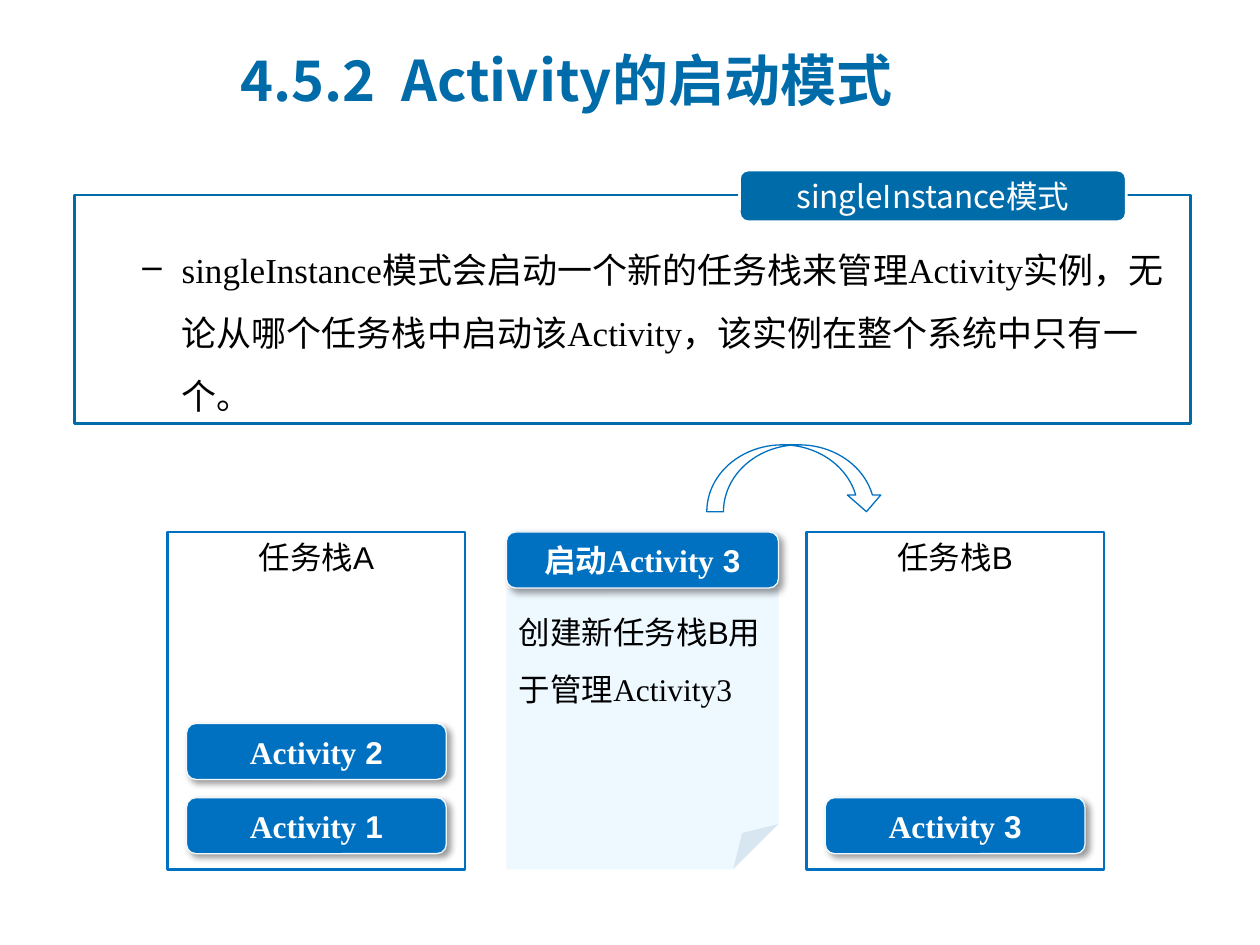
from lxml import etree
from pptx import Presentation
from pptx.dml.color import RGBColor
from pptx.enum.shapes import MSO_SHAPE as Shape
from pptx.enum.text import MSO_ANCHOR as Anchor, PP_ALIGN as Align
from pptx.oxml import parse_xml
from pptx.oxml.ns import nsdecls, qn
from pptx.util import Pt

HEADING = "Noto Sans CJK SC"
SANS = "Arial"
SERIF = "Times New Roman"
DEEP_BLUE = "006BA9"
BLUE = "0070C0"
WHITE = "FFFFFF"
BLACK = "000000"


def rgb(hex_color):
    return RGBColor.from_string(hex_color)


class SlideBuilder:
    def __init__(self, slide):
        self.slide = slide

    def shape(self, kind, box, fill=None, line=None, line_width=1.5):
        shape = self.slide.shapes.add_shape(kind, *map(Pt, box))
        shape.shadow.inherit = False
        if fill:
            shape.fill.solid()
            shape.fill.fore_color.rgb = rgb(fill)
        else:
            shape.fill.background()
        if line:
            shape.line.color.rgb = rgb(line)
            shape.line.width = Pt(line_width)
        else:
            shape.line.fill.background()
        return shape

    def text_box(self, box):
        return self.slide.shapes.add_textbox(*map(Pt, box))

    def set_text(self, shape, runs, size=18, color=BLACK, bold=False,
                 align=Align.LEFT, anchor=Anchor.TOP, spacing=None,
                 margin=0, indent=0, bullet=None):
        """Fill the shape with one paragraph of (text, font name) runs."""
        frame = shape.text_frame
        frame.word_wrap = True
        frame.vertical_anchor = anchor
        paragraph = frame.paragraphs[0]
        paragraph.alignment = align
        if spacing:
            paragraph.line_spacing = spacing
        properties = paragraph._p.get_or_add_pPr()
        if margin:
            properties.set("marL", str(Pt(margin)))
            properties.set("indent", str(Pt(indent)))
        if bullet:
            etree.SubElement(properties, qn("a:buChar")).set("char", bullet)
        font = paragraph.font
        font.size = Pt(size)
        font.bold = bold
        font.color.rgb = rgb(color)
        for text, font_name in runs:
            run = paragraph.add_run()
            run.text = text
            run.font.name = font_name

    def button(self, left, top, width, runs):
        shape = self.shape(Shape.ROUNDED_RECTANGLE, (left, top, width, 32),
                           BLUE, "F2F8FC", 0.75)
        self.drop_shadow(shape)
        self.set_text(shape, runs, color=WHITE, bold=True,
                      align=Align.CENTER, anchor=Anchor.MIDDLE)

    def drop_shadow(self, shape):
        effects = shape._element.spPr.find(qn("a:effectLst"))
        effects.append(parse_xml(
            f'<a:outerShdw {nsdecls("a")} blurRad="{Pt(4)}" dist="{Pt(3)}" '
            'dir="2700000" algn="tl" rotWithShape="0"><a:srgbClr val="000000">'
            '<a:alpha val="40000"/></a:srgbClr></a:outerShdw>'))

    def set_opacity(self, shape, percent):
        color = shape._element.spPr.find(qn("a:solidFill"))[0]
        etree.SubElement(color, qn("a:alpha")).set("val", str(percent * 1000))

    def task_stack(self, left, name, activities):
        """Draw a stack frame with its activities, the first at the bottom."""
        frame = self.shape(Shape.RECTANGLE, (left, 304, 170, 193), line=BLUE)
        self.set_text(frame, [(name, SANS)], align=Align.CENTER)
        for level, number in enumerate(activities):
            self.button(left + 10.8, 455.8 - 42.4 * level, 148.4,
                        [("Activity", SERIF), (f" {number}", SANS)])


def main():
    presentation = Presentation()
    presentation.slide_width = Pt(720)
    presentation.slide_height = Pt(540)
    slide = presentation.slides.add_slide(presentation.slide_layouts[6])
    builder = SlideBuilder(slide)

    builder.shape(Shape.RECTANGLE, (42.5, 111.5, 638, 130.5), line=DEEP_BLUE)
    mode_label = builder.shape(Shape.ROUNDED_RECTANGLE, (422.6, 97.2, 221, 29.5),
                               DEEP_BLUE, WHITE)
    builder.set_text(mode_label, [("singleInstance模式", HEADING)], color=WHITE,
                     align=Align.CENTER, anchor=Anchor.MIDDLE)

    description = builder.text_box((38.2, 126.7, 634.3, 77.8))
    builder.set_text(
        description,
        [("singleInstance模式会启动一个新的任务栈来管理Activity实例，"
          "无论从哪个任务栈中启动该Activity，", SERIF),
         ("该实例在整个系统中只有一个。", SANS)],
        size=20, spacing=1.5, margin=58.5, indent=-22.5, bullet="–")

    builder.task_stack(95.8, "任务栈A", [1, 2])
    builder.task_stack(460.8, "任务栈B", [3])

    note = builder.shape(Shape.FOLDED_CORNER, (289.4, 336.2, 155.5, 160.6), "C5E8FF")
    builder.set_opacity(note, 28)
    builder.set_text(note, [("创建新任务栈B用于管理", SANS), ("Activity3", SERIF)],
                     spacing=1.5)
    builder.button(289.4, 304, 155.5,
                   [("启动", SANS), ("Activity", SERIF), (" 3", SANS)])
    builder.shape(Shape.CURVED_DOWN_ARROW, (403.9, 254.2, 100.8, 38.2),
                  line=BLUE, line_width=0.75)

    title = builder.text_box((130.3, 15.1, 482.4, 60.5))
    builder.set_text(title, [("4.5.2  Activity的启动模式", HEADING)], size=32,
                     color=DEEP_BLUE, bold=True, anchor=Anchor.MIDDLE)

    presentation.save("out.pptx")


if __name__ == "__main__":
    main()
